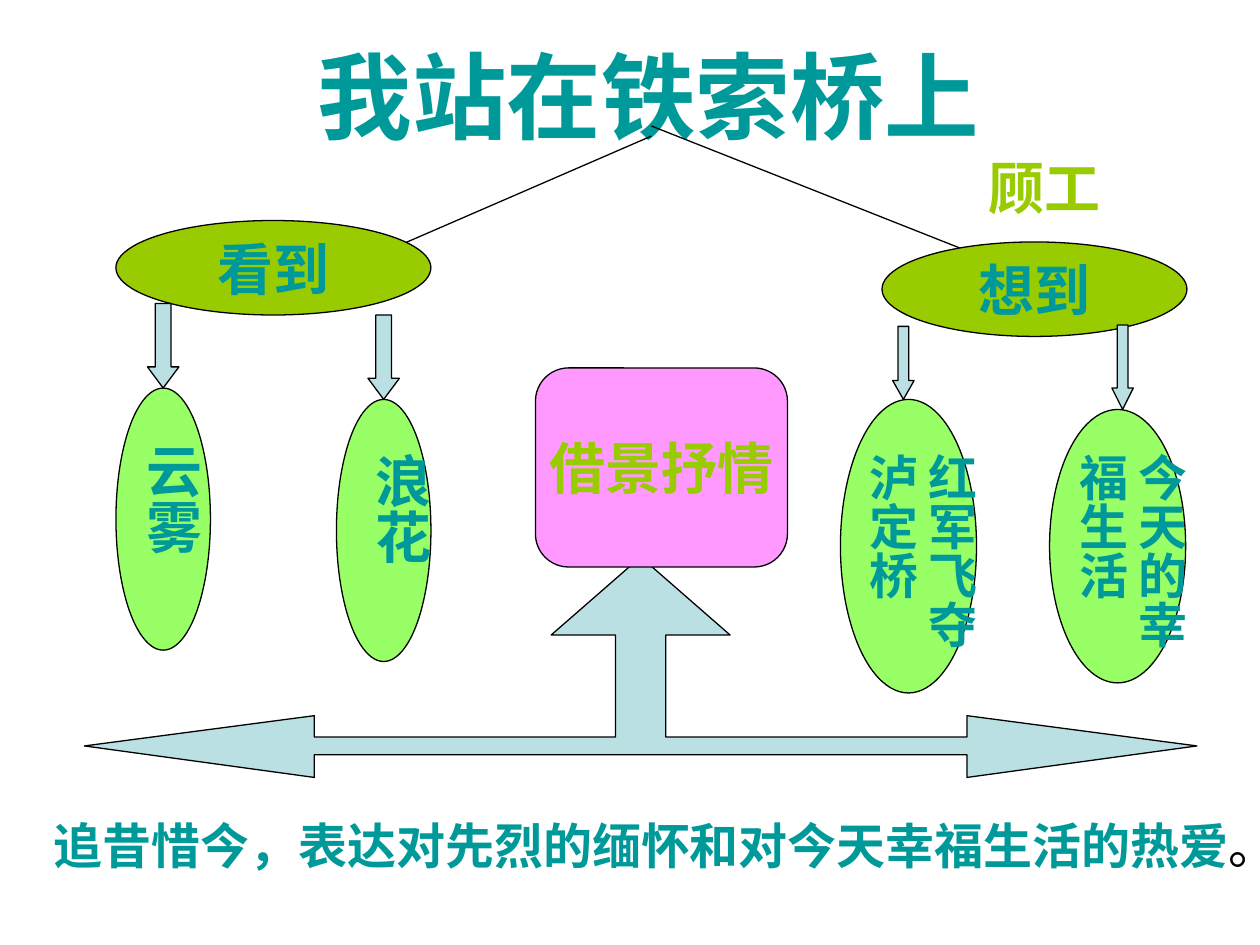
from dataclasses import dataclass
from typing import NamedTuple

from lxml.etree import SubElement
from pptx import Presentation
from pptx.dml.color import RGBColor
from pptx.enum.shapes import MSO_CONNECTOR, MSO_SHAPE
from pptx.enum.text import MSO_ANCHOR, MSO_AUTO_SIZE, PP_ALIGN
from pptx.oxml.ns import qn
from pptx.util import Inches, Pt


@dataclass(frozen=True)
class Theme:
    teal: str = "009999"
    olive: str = "99CC00"
    lime: str = "99FF66"
    pink: str = "FF99FF"
    pale: str = "BBE0E3"
    ink: str = "000000"
    font: str = "Times New Roman"
    big: int = 54
    mid: int = 32
    small: int = 28
    rule: float = 0.75


class Box(NamedTuple):
    x: float
    y: float
    w: float
    h: float

    def sub(self, x, y, w, h):
        """Box placed relative to this one's corner."""
        return Box(self.x + x, self.y + y, w, h)

    def emu(self):
        return [Inches(n) for n in self]


class Leaf(NamedTuple):
    text: str
    size: int
    oval: tuple
    arrow: tuple  # offset from the oval's middle, width, height, head ratio
    note: tuple


THEME = Theme()
FLOW = {"word_wrap": True, "auto_size": MSO_AUTO_SIZE.SHAPE_TO_FIT_TEXT,
        "vertical_anchor": MSO_ANCHOR.TOP}
MIDDLE = {"word_wrap": False, "vertical_anchor": MSO_ANCHOR.MIDDLE}


def apply(item, form):
    for key, value in form.items():
        setattr(item, key, value)


def write(frame, runs, size, form, align=PP_ALIGN.LEFT):
    """Fill a frame with one paragraph of (text, colour, bold) runs."""
    apply(frame, form)
    para = frame.paragraphs[0]
    para.alignment = align
    for text, color, bold in runs:
        run = para.add_run()
        run.text = text
        apply(run.font, {"name": THEME.font, "size": Pt(size), "bold": bold})
        run.font.color.rgb = RGBColor.from_string(color)


def paint(shape, fill):
    shape.shadow.inherit = False
    shape.fill.solid()
    shape.fill.fore_color.rgb = RGBColor.from_string(fill)
    shape.line.color.rgb = RGBColor.from_string(THEME.ink)
    shape.line.width = Pt(THEME.rule)
    return shape


def draw(slide, kind, box, fill):
    return paint(slide.shapes.add_shape(kind, *box.emu()), fill)


def label(slide, box, runs, size, tall=False):
    """Text box; a tall one sets its text in vertical columns."""
    frame = slide.shapes.add_textbox(*box.emu()).text_frame
    if tall:
        frame._txBody.bodyPr.set("vert", "eaVert")
        side, end = Inches(0.05), Inches(0.1)
        apply(frame, {"margin_left": side, "margin_right": side,
                      "margin_top": end, "margin_bottom": end})
    write(frame, runs, size, FLOW)


def node(slide, kind, box, fill, text, color):
    shape = draw(slide, kind, box, fill)
    write(shape.text_frame, [(text, color, True)], THEME.mid, MIDDLE,
          PP_ALIGN.CENTER)


def link(slide, start, end):
    line = slide.shapes.add_connector(
        MSO_CONNECTOR.STRAIGHT, *[Inches(n) for n in (*start, *end)])
    line.line.color.rgb = RGBColor.from_string(THEME.ink)
    line.line.width = Pt(THEME.rule)
    SubElement(line._element.spPr, qn("a:effectLst"))


def heading(slide, box):
    title = slide.shapes.title
    apply(title, dict(zip(("left", "top", "width", "height"), box.emu())))
    write(title.text_frame, [("我站在铁索桥上", THEME.teal, True)], THEME.big, FLOW)
    para = title.text_frame.paragraphs[0]
    apply(para, {"space_before": Pt(0), "line_spacing": 1.0})


def branch(slide, box, text, head, leaves):
    """A head oval with arrows down to its leaf ovals."""
    node(slide, MSO_SHAPE.OVAL, box.sub(*head), THEME.olive, text, THEME.teal)
    for leaf in leaves:
        oval = box.sub(*leaf.oval)
        draw(slide, MSO_SHAPE.OVAL, oval, THEME.lime)
        shift, wide, high, ratio = leaf.arrow
        spot = oval.sub((oval.w - wide) / 2 + shift, -high, wide, high)
        arrow = draw(slide, MSO_SHAPE.DOWN_ARROW, spot, THEME.pale)
        arrow.adjustments[1] = ratio
        label(slide, oval.sub(*leaf.note), [(leaf.text, THEME.teal, True)],
              leaf.size, tall=True)


def fork(slide, box):
    """Three-way arrow, mirrored about the middle of its box."""
    mid = box.x + box.w / 2
    half = [(0, 0), (0.71, 0.62), (0.2, 0.62), (0.2, 1.43), (2.59, 1.43),
            (2.59, 1.26), (box.w / 2, 1.5), (2.59, box.h), (2.59, 1.57)]
    full = half + [(-x, y) for x, y in reversed(half[1:])]
    spots = [(Inches(mid + x), Inches(box.y + y)) for x, y in full]
    pen = slide.shapes.build_freeform(*spots[0])
    pen.add_line_segments(spots[1:], close=True)
    paint(pen.convert_to_shape(), THEME.pale)


def main():
    deck = Presentation()
    deck.slide_width, deck.slide_height = Inches(10), Inches(7.5)
    slide = deck.slides.add_slide(deck.slide_layouts[5])

    heading(slide, Box(2.42, 0.25, 6.17, 1))
    label(slide, Box(7.75, 1.17, 1.5, 0.64), [("顾工", THEME.olive, True)],
          THEME.mid)
    link(slide, (5.17, 1.08), (2.08, 2.42))
    link(slide, (5.17, 1), (8.33, 2.25))

    branch(slide, Box(0.92, 1.75, 2.5, 3.5), "看到", (0, 0, 2.5, 0.75), [
        Leaf("云雾", THEME.mid, (0, 1.33, 0.75, 2.08),
             (0, 0.25, 0.67, 0.67), (0.04, 0.34, 0.73, 1.33)),
        Leaf("浪花", THEME.mid, (1.75, 1.42, 0.75, 2.08),
             (0, 0.25, 0.67, 0.67), (0.1, 0.33, 0.73, 1.42)),
    ])
    branch(slide, Box(6.67, 1.92, 2.75, 3.58), "想到", (0.33, 0, 2.42, 0.75), [
        Leaf("红军飞夺泸定桥", THEME.small, (0, 1.25, 1.08, 2.33),
             (-0.04, 0.17, 0.58, 0.88), (0.03, 0.33, 1.13, 1.83)),
        Leaf("今天的幸福生活", THEME.small, (1.66, 1.33, 1.08, 2.17),
             (0.04, 0.17, 0.67, 1), (0.04, 0.25, 1.13, 2)),
    ])

    fork(slide, Box(0.67, 4.42, 8.83, 1.75))
    node(slide, MSO_SHAPE.ROUNDED_RECTANGLE, Box(4.25, 2.92, 2, 1.58),
         THEME.pink, "借景抒情", THEME.olive)
    label(slide, Box(0.33, 6.42, 9.67, 0.57),
          [("追昔惜今，表达对先烈的缅怀和对今天幸福生活的热爱", THEME.teal, True),
           ("。", THEME.ink, False)], THEME.small)
    deck.save("out.pptx")


if __name__ == "__main__":
    main()
